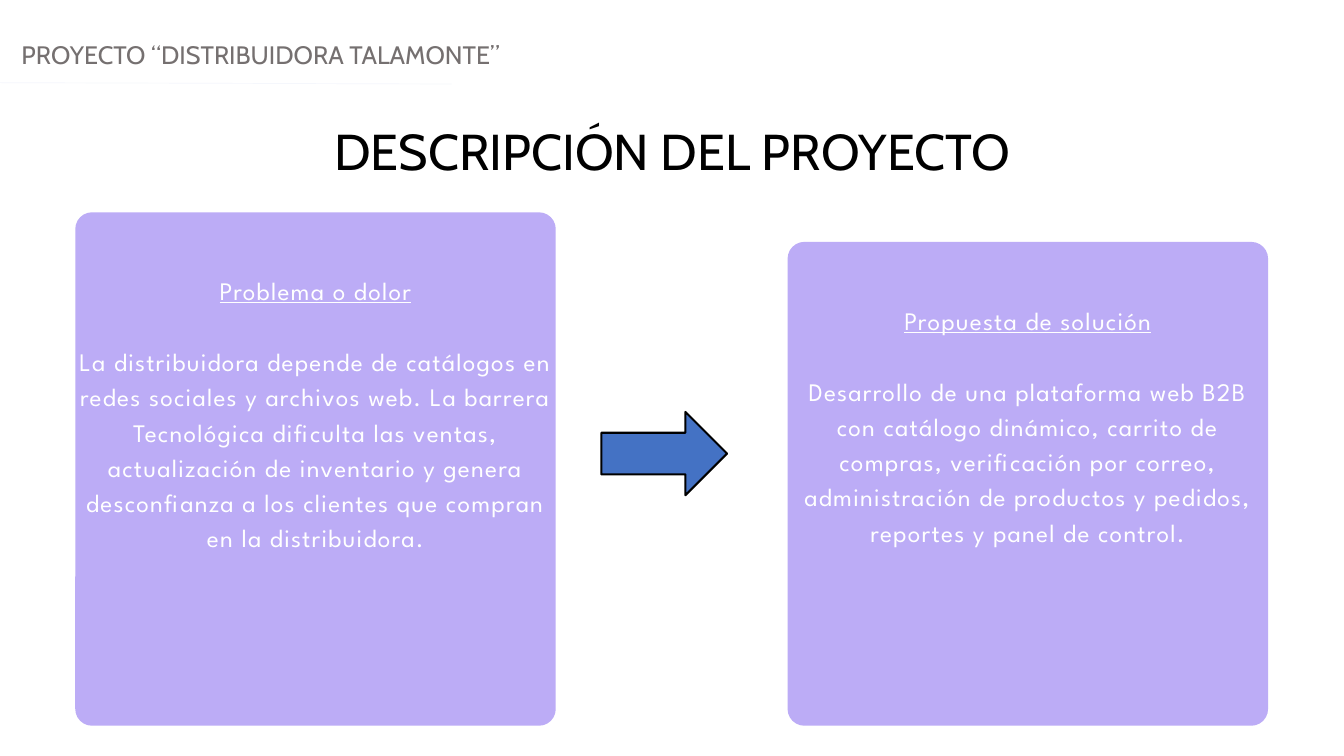
from pptx import Presentation
from pptx.dml.color import RGBColor as Rgb
from pptx.enum.shapes import MSO_CONNECTOR as Link, MSO_SHAPE as Shape
from pptx.enum.text import PP_ALIGN as Align
from pptx.oxml.ns import qn
from pptx.util import Inches, Pt
from lxml.etree import SubElement as add_node

COLS, ROWS = 20, 11.25  # grid of one-inch cells
CARD_W, FOOT = 7.15, 10.8
PAD = 0.06
INK = {
    "card": "BCACF6", "arrow": "4472C4", "edge": "000000",
    "rule": "F5F7FC", "head": "757070", "title": "000000", "body": "FFFFFF",
}


def cell(*spans):
    return [Inches(span) for span in spans]


def tint(name):
    return Rgb.from_string(INK[name])


def add_text(slide, box, text, font="Cabin", size=27, ink="body", align=Align.LEFT,
             lead=32.4, gap=0, track=0, pad=0, under=False):
    """Place one paragraph per line of text; under marks the first one."""
    frame = slide.shapes.add_textbox(*cell(*box)).text_frame
    frame.word_wrap = True
    frame.margin_left = frame.margin_right = Inches(pad)
    frame.margin_top = frame.margin_bottom = 0
    for i, line in enumerate(text.split("\n")):
        para = frame.add_paragraph() if i else frame.paragraphs[0]
        para.alignment, para.line_spacing = align, Pt(lead)
        if i:
            para.space_before = Pt(gap)
        run = para.add_run()
        run.text = line
        run.font.name, run.font.size = font, Pt(size)
        run.font.color.rgb = tint(ink)
        run.font.underline = under and i == 0
        if track:
            run.font._element.set("spc", str(round(track * 100)))


def add_block(slide, kind, box, ink, edge=None, width=1):
    block = slide.shapes.add_shape(kind, *cell(*box))
    block.shadow.inherit = False
    block.fill.solid()
    block.fill.fore_color.rgb = tint(ink)
    if edge:
        block.line.color.rgb, block.line.width = tint(edge), Pt(width)
    else:
        block.line.fill.background()
    return block


def add_card(slide, left, top, text):
    high = FOOT - top
    card = add_block(slide, Shape.ROUNDED_RECTANGLE, (left, top, CARD_W, high), "card")
    card.adjustments[0] = 0.25 / min(CARD_W, high)
    inset = 0.87
    add_text(slide, (left, top + inset, CARD_W, high - inset), text,
             font="League Spartan", align=Align.CENTER, lead=37.8, gap=37.8,
             track=1.3, pad=PAD, under=True)


def add_rule(slide, *ends):
    rule = slide.shapes.add_connector(Link.STRAIGHT, *cell(*ends))
    rule.line.color.rgb, rule.line.width = tint("rule"), Pt(0.75)
    add_node(rule._element.spPr, qn("a:effectLst"))


def main():
    deck = Presentation()
    deck.slide_width, deck.slide_height = cell(COLS, ROWS)
    slide = deck.slides.add_slide(deck.slide_layouts[6])

    # Header rule
    add_rule(slide, 0, 1.23, 6.72, 1.25)

    # Problem, arrow, solution
    add_card(slide, 1.12, 3.16,
             "Problema o dolor\n"
             "La distribuidora depende de catálogos en redes sociales y archivos web. "
             "La barrera Tecnológica dificulta las ventas, actualización de inventario "
             "y genera desconfianza a los clientes que compran en la distribuidora.")
    add_block(slide, Shape.RIGHT_ARROW, (8.95, 6.13, 1.87, 1.24), "arrow", "edge", 2.25)
    add_card(slide, 11.72, 3.6,
             "Propuesta de solución\n"
             "Desarrollo de una plataforma web B2B con catálogo dinámico, carrito de "
             "compras, verificación por correo, administración de productos y pedidos, "
             "reportes y panel de control.")

    # Title and header
    add_text(slide, (0.1, 1.78, COLS - 0.2, 1.09), "DESCRIPCIÓN DEL PROYECTO",
             size=54, ink="title", align=Align.CENTER, lead=64.8)
    add_text(slide, (0.32, 0.59, COLS - 0.4, 0.57),
             "PROYECTO “DISTRIBUIDORA TALAMONTE”", ink="head")

    deck.save("out.pptx")


if __name__ == "__main__":
    main()
